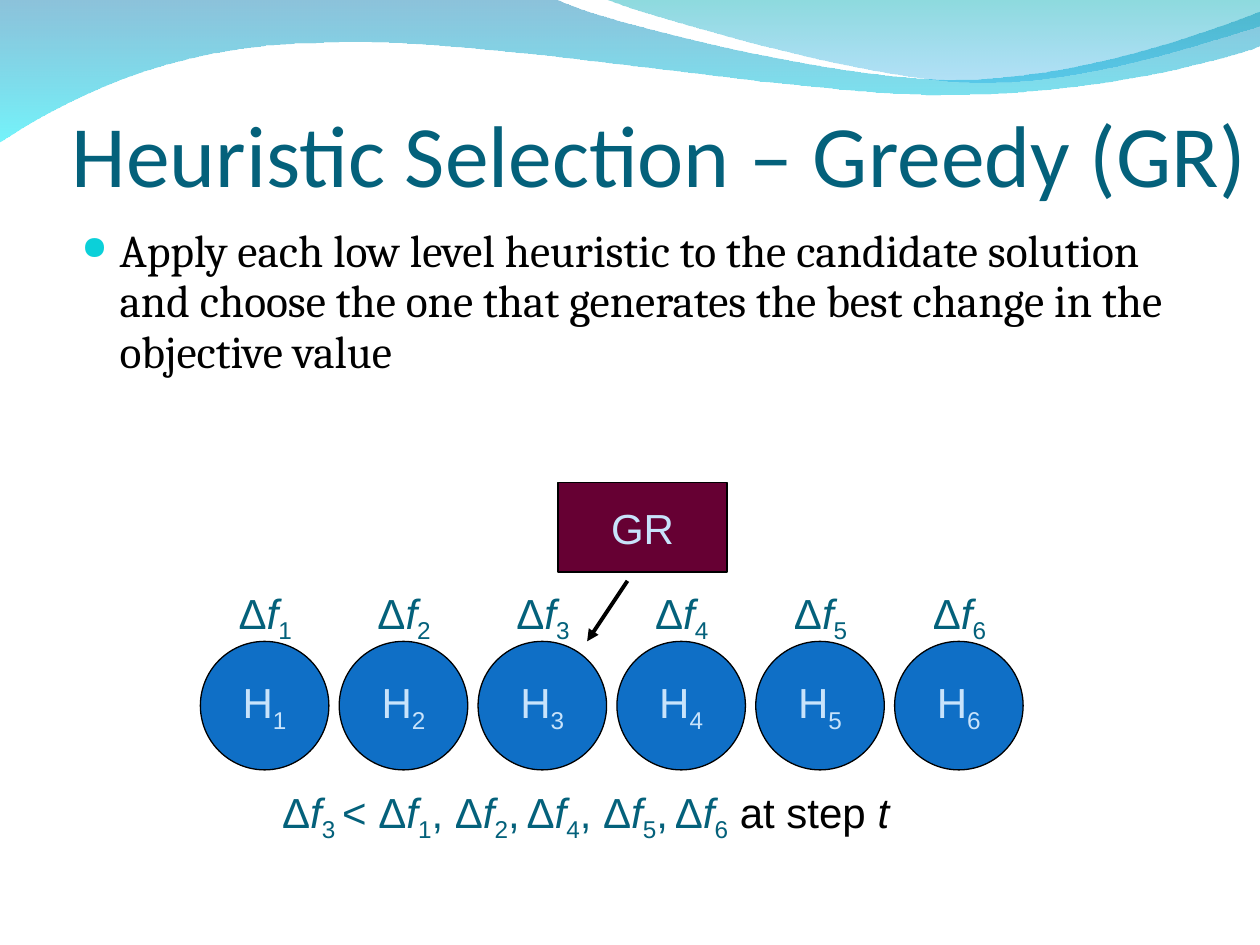
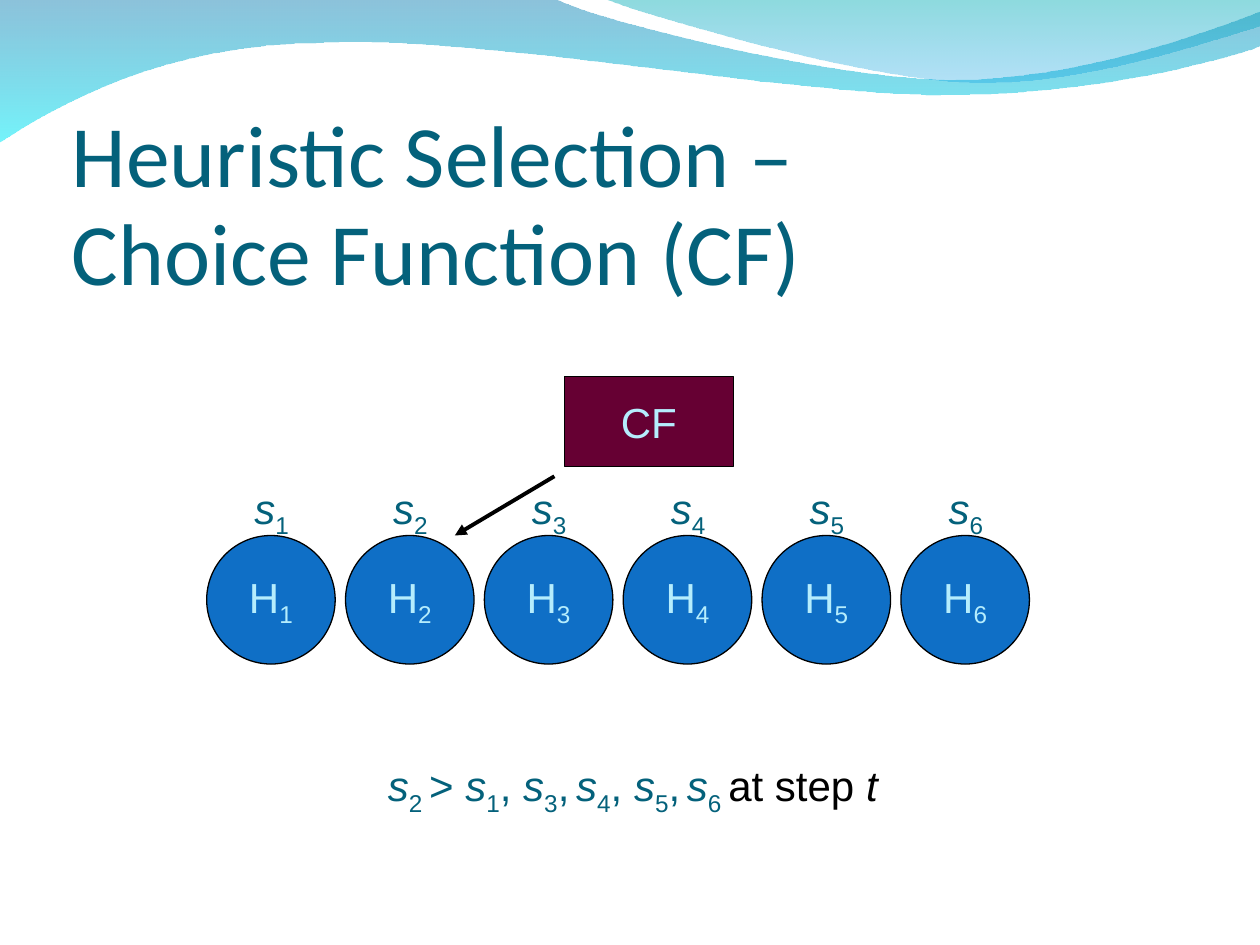
from dataclasses import dataclass

from lxml.etree import SubElement
from pptx import Presentation
from pptx.dml.color import RGBColor
from pptx.enum.shapes import MSO_CONNECTOR, MSO_SHAPE
from pptx.enum.text import MSO_ANCHOR, MSO_AUTO_SIZE, PP_ALIGN
from pptx.oxml.ns import qn
from pptx.util import Inches, Pt


@dataclass(frozen=True)
class Theme:
    ink: str = "000000"
    teal: str = "04617B"
    bullet: str = "0BD0D9"
    circle: str = "0F6FC6"
    selector: str = "660033"
    title_font: str = "Calibri"
    body_font: str = "Cambria"
    diagram_font: str = "Arial"
    title_size: int = 50
    body_size: int = 26
    diagram_size: int = 24


THEME = Theme()
HEURISTICS = range(1, 7)
ROW_SPAN = 5.51
CIRCLE = 1.02

WAVES = [
    {
        "start": (0, -0.01),
        "segments": [
            [(4.4, -0.01)],
            [(4.76, 0.17), (6.64, 0.63), (7.58, 0.63)],
            [(8.53, 0.63), (9.58, 0.26), (10, 0.09)],
            [(10.01, 0.36)],
            [(9.83, 0.44), (8.7, 0.76), (7.46, 0.75)],
            [(6.22, 0.75), (3.82, 0.28), (2.57, 0.34)],
            [(1.29, 0.35), (0.46, 0.83), (-0.01, 1.13)],
            [(0, -0.01)],
        ],
        "stops": [("0079AF", 45), ("00EBF8", 55)],
    },
    {
        "start": (4.79, -0.01),
        "segments": [
            [(5.09, 0.11), (6.82, 0.62), (7.69, 0.65)],
            [(8.56, 0.69), (9.61, 0.32), (10, 0.21)],
            [(10, 0)],
            [(4.79, -0.01)],
        ],
        "stops": [("00ADB6", 45), ("009BE5", 30)],
    },
]

SLIDES = [
    {
        "title": "Heuristic Selection – Greedy (GR)",
        "title_at": (0.57, 0.31, 9.43, 1.33),
        "body": "Apply each low level heuristic to the candidate solution and choose "
                "the one that generates the best change in the objective value",
        "selector": "GR",
        "row_at": (1.59, 5.09),
        "label_rise": 0.48,
        "on_circle": "C8E3FB",
        "symbol": "Δ|/f",
        "best": 3,
        "sign": "<",
        "gap": "| ",
        "arrow_x": (4.98, 4.66),
        "formula_at": (2.14, 6.19, 5.59, 0.56),
    },
    {
        "title": "Heuristic Selection – \nChoice Function (CF)",
        "title_at": (0.57, 1.09, 9.2, 1.33),
        "body": None,
        "selector": "CF",
        "row_at": (1.64, 4.25),
        "label_rise": 0.47,
        "on_circle": "B5EDFD",
        "symbol": "/s",
        "best": 2,
        "sign": ">",
        "gap": " ",
        "arrow_x": (4.4, 3.61),
        "formula_at": (2.98, 5.98, 4.68, 0.56),
    },
]


def rgb(color):
    return RGBColor.from_string(color)


def write(sp, text, font=THEME.diagram_font, size=THEME.diagram_size, color=THEME.teal,
          align=PP_ALIGN.LEFT, anchor=MSO_ANCHOR.TOP, insets=(0.1, 0.05, 0.1, 0.05),
          wrap=True, grow=False, spacing=None, before=0, bullet=None):
    tf = sp.text_frame
    tf.word_wrap = wrap
    tf.auto_size = MSO_AUTO_SIZE.SHAPE_TO_FIT_TEXT if grow else MSO_AUTO_SIZE.NONE
    tf.vertical_anchor = anchor
    tf.margin_left, tf.margin_top, tf.margin_right, tf.margin_bottom = map(Inches, insets)
    p = tf.paragraphs[0]
    p.alignment = align
    p.space_before = Pt(before)
    if spacing:
        p.line_spacing = spacing
    if bullet:
        add_bullet(p, bullet)
    for n, line in enumerate(text.split("\n")):
        if n:
            p.add_line_break()
        for part in line.split("|"):
            content = part.lstrip("/_!")
            marks = part[:len(part) - len(content)]
            r = p.add_run()
            r.text = content
            r.font.name = font
            r.font.size = Pt(size)
            r.font.italic = "/" in marks
            r.font.color.rgb = rgb(THEME.ink if "!" in marks else color)
            if "_" in marks:
                r.font._element.set("baseline", "-25000")


def add_bullet(p, color):
    pPr = p._p.get_or_add_pPr()
    pPr.set("marL", str(Inches(0.3)))
    pPr.set("indent", str(-Inches(0.3)))
    SubElement(SubElement(pPr, qn("a:buClr")), qn("a:srgbClr")).set("val", color)
    SubElement(pPr, qn("a:buSzPct")).set("val", "72000")
    SubElement(pPr, qn("a:buChar")).set("char", "●")


def add_text(s, text, at, **fmt):
    write(s.shapes.add_textbox(*map(Inches, at)), text, **fmt)


def add_node(s, kind, text, at, fill, color):
    sp = s.shapes.add_shape(kind, *map(Inches, at))
    sp.shadow.inherit = False
    sp.fill.solid()
    sp.fill.fore_color.rgb = rgb(fill)
    sp.line.color.rgb = rgb(THEME.ink)
    sp.line.width = Pt(0.75)
    write(sp, text, color=color, align=PP_ALIGN.CENTER,
          anchor=MSO_ANCHOR.MIDDLE, wrap=False)


def add_arrow(s, x1, y1, x2, y2):
    line = s.shapes.add_connector(MSO_CONNECTOR.STRAIGHT, *map(Inches, (x1, y1, x2, y2)))
    line.line.color.rgb = rgb(THEME.ink)
    line.line.width = Pt(2.25)
    SubElement(line.line._get_or_add_ln(), qn("a:tailEnd")).set("type", "triangle")
    SubElement(line._element.spPr, qn("a:effectLst"))


def curve_segments(sp, segments):
    lines = iter(list(sp._element.spPr.iter(qn("a:lnTo"))))
    for segment in segments:
        group = [next(lines) for _ in segment]
        if len(group) == 3:
            curve = group[0].makeelement(qn("a:cubicBezTo"))
            group[0].addprevious(curve)
            for line in group:
                curve.append(line[0])
                line.getparent().remove(line)


def add_wave(s, start, segments, stops):
    points = [(Inches(x), Inches(y)) for segment in segments for x, y in segment]
    builder = s.shapes.build_freeform(*map(Inches, start))
    builder.add_line_segments(points, close=True)
    sp = builder.convert_to_shape()
    curve_segments(sp, segments)
    sp.shadow.inherit = False
    sp.line.fill.background()
    sp.fill.gradient()
    sp.fill.gradient_angle = 270
    for stop, (color, _) in zip(sp.fill.gradient_stops, stops):
        stop.color.rgb = rgb(color)
    for node, (_, opacity) in zip(sp._element.spPr.iter(qn("a:srgbClr")), stops):
        SubElement(node, qn("a:alpha")).set("val", str(opacity * 1000))


def formula(symbol, best, sign, gap):
    text = f"{symbol}|_{best} |{sign} "
    others = [n for n in HEURISTICS if n != best]
    for i, n in enumerate(others):
        if i:
            text += "|, " if i % 2 else "|,|_ "
        text += f"|{symbol}|_{n}"
    return f"{text}{gap}|!at step |!/t"


def add_diagram(s, d):
    left, top = d["row_at"]
    pitch = ROW_SPAN / (len(HEURISTICS) - 1)
    label_top = top - d["label_rise"]
    for i, n in enumerate(HEURISTICS):
        x = left + i * pitch
        add_node(s, MSO_SHAPE.OVAL, f"H|_{n}", (x, top, CIRCLE, CIRCLE),
                 THEME.circle, d["on_circle"])
        add_text(s, f"{d['symbol']}|_{n}", (x + 0.16, label_top, 0.71, 0.56),
                 align=PP_ALIGN.CENTER, before=15, grow=True)
    add_node(s, MSO_SHAPE.RECTANGLE, d["selector"], (left + 2.84, top - 1.26, 1.34, 0.71),
             THEME.selector, d["on_circle"])
    add_text(s, formula(d["symbol"], d["best"], d["sign"], d["gap"]), d["formula_at"],
             before=15, grow=True)
    x1, x2 = d["arrow_x"]
    add_arrow(s, x1, label_top, x2, top)


def add_slide(prs, d):
    s = prs.slides.add_slide(prs.slide_layouts[6])
    for wave in WAVES:
        add_wave(s, **wave)
    add_text(s, d["title"], d["title_at"], font=THEME.title_font, size=THEME.title_size,
             anchor=MSO_ANCHOR.BOTTOM, insets=(0, 0.05, 0, 0), spacing=0.93)
    if d["body"]:
        add_text(s, d["body"], (0.55, 1.75, 9.12, 2.87), font=THEME.body_font,
                 size=THEME.body_size, color=THEME.ink, spacing=0.93, before=6.5,
                 bullet=THEME.bullet)
    add_diagram(s, d)


def main():
    prs = Presentation()
    prs.slide_width, prs.slide_height = Inches(10), Inches(7.5)
    for d in SLIDES:
        add_slide(prs, d)
    prs.save("out.pptx")


if __name__ == "__main__":
    main()
